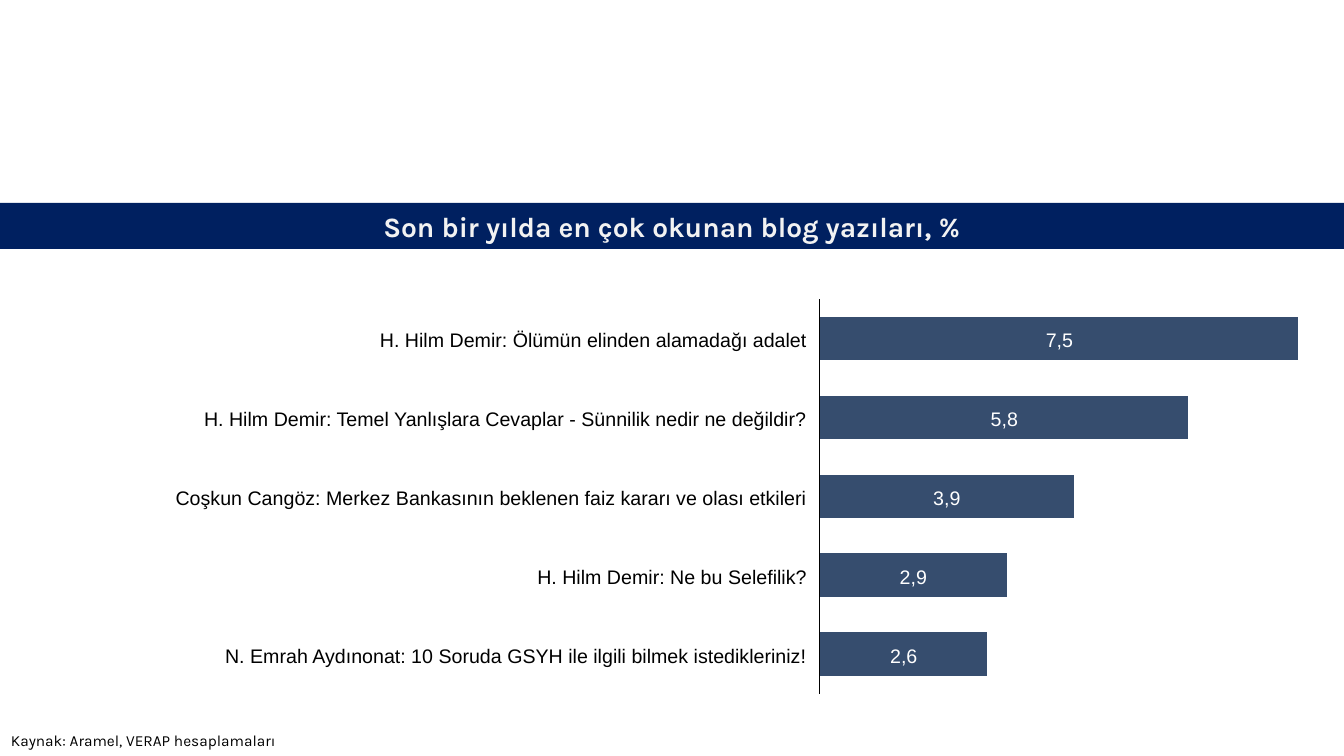
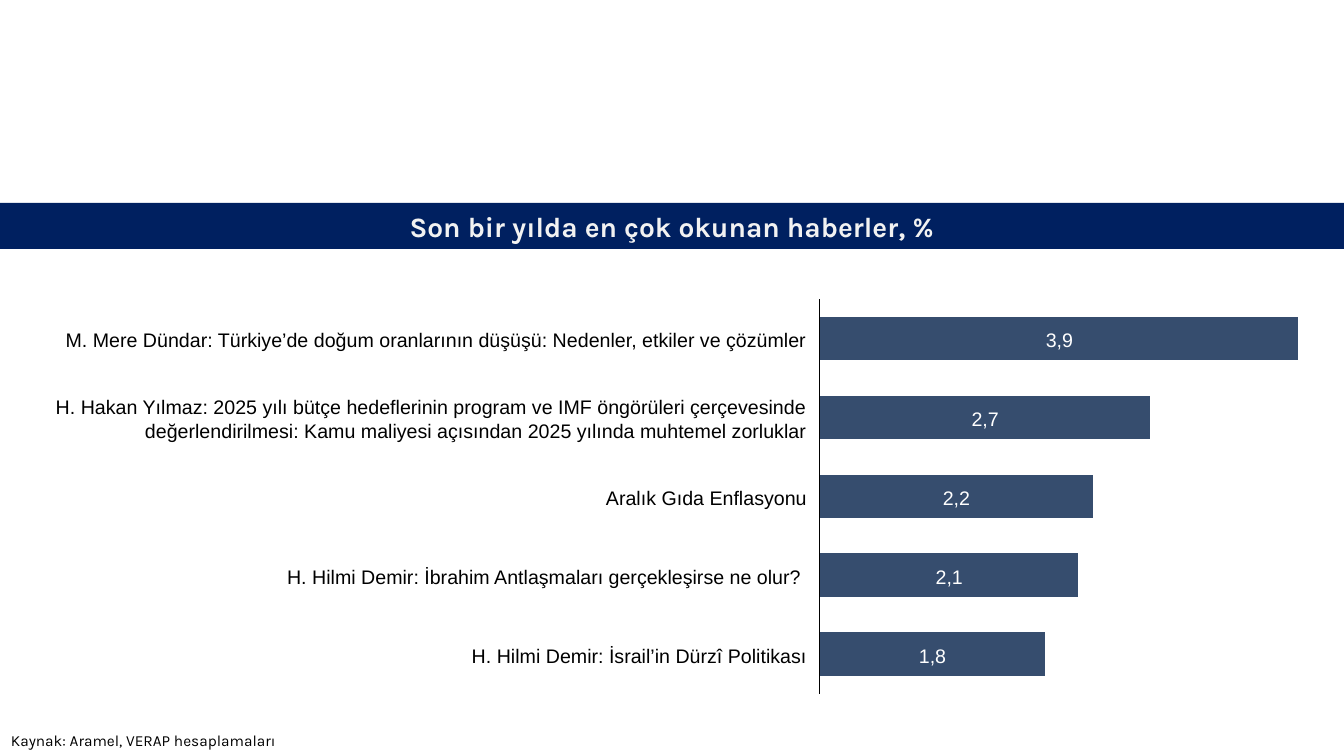
from dataclasses import dataclass

from pptx import Presentation
from pptx.chart.chart import Chart
from pptx.chart.data import CategoryChartData
from pptx.dml.color import RGBColor
from pptx.enum.chart import XL_CHART_TYPE, XL_TICK_LABEL_POSITION, XL_TICK_MARK
from pptx.enum.text import MSO_ANCHOR, MSO_AUTO_SIZE, PP_ALIGN
from pptx.oxml import parse_xml
from pptx.oxml.ns import nsdecls
from pptx.slide import Slide
from pptx.text.text import Font
from pptx.util import Emu, Pt

NAVY, SLATE = "002060", "364D6E"
BLACK, WHITE, PALE = "000000", "FFFFFF", "F2F2F2"
HEADING_FONT, LABEL_FONT = "Karla", "Arial"

SLIDE_W, SLIDE_H = 1344, 756
BAND_TOP, BAND_H = 203, 46
CHART_BOX = (811, 290, 497, 413)
PLOT_LEFT, PLOT_TOP, PLOT_W = 820, 300, 479
ROW_PITCH = 79
LABEL_LEFT, LABEL_RIGHT = 7, 807
VALUE_W = 60
LINE_H = 24
SOURCE = "Kaynak: Aramel, VERAP hesaplamaları"


@dataclass(frozen=True)
class Post:
    label: str
    share: str
    bar: int  # length relative to the most read post, which is 100


@dataclass(frozen=True)
class Ranking:
    title: str
    posts: tuple[Post, ...]


RANKINGS = (
    Ranking("Son bir yılda en çok okunan blog yazıları, %", (
        Post("H. Hilm Demir: Ölümün elinden alamadağı adalet", "7,5", 100),
        Post("H. Hilm Demir: Temel Yanlışlara Cevaplar - Sünnilik nedir ne değildir?", "5,8", 77),
        Post("Coşkun Cangöz: Merkez Bankasının beklenen faiz kararı ve olası etkileri", "3,9", 53),
        Post("H. Hilm Demir: Ne bu Selefilik?", "2,9", 39),
        Post("N. Emrah Aydınonat: 10 Soruda GSYH ile ilgili bilmek istedikleriniz!", "2,6", 35),
    )),
    Ranking("Son bir yılda en çok okunan haberler, %", (
        Post("M. Mere Dündar: Türkiye’de doğum oranlarının düşüşü: Nedenler, etkiler ve çözümler",
             "3,9", 100),
        Post("H. Hakan Yılmaz: 2025 yılı bütçe hedeflerinin program ve IMF öngörüleri çerçevesinde\n"
             "değerlendirilmesi: Kamu maliyesi açısından 2025 yılında muhtemel zorluklar",
             "2,7", 69),
        Post("Aralık Gıda Enflasyonu", "2,2", 57),
        Post("H. Hilmi Demir: İbrahim Antlaşmaları gerçekleşirse ne olur? ", "2,1", 54),
        Post("H. Hilmi Demir: İsrail’in Dürzî Politikası", "1,8", 47),
    )),
)


def px(length: float) -> Emu:
    return Emu(round(length * 914400 / 100.8))


def rgb(value: str) -> RGBColor:
    return RGBColor.from_string(value)


def style_font(font: Font, name: str, size: int, color: str, bold: bool = False) -> None:
    font.name, font.size, font.bold = name, Pt(size), bold
    font.color.rgb = rgb(color)


def add_title_band(slide: Slide, text: str) -> None:
    band = slide.shapes.title
    band.left, band.top, band.width, band.height = map(px, (0, BAND_TOP, SLIDE_W, BAND_H))
    band.fill.solid()
    band.fill.fore_color.rgb = rgb(NAVY)
    frame = band.text_frame
    frame.auto_size = MSO_AUTO_SIZE.NONE
    frame.vertical_anchor = MSO_ANCHOR.MIDDLE
    heading = frame.paragraphs[0]
    heading.text = text
    heading.alignment = PP_ALIGN.CENTER
    style_font(heading.font, HEADING_FONT, 20, PALE, bold=True)


def add_row_text(slide: Slide, text: str, left: float, middle: float, width: float,
                 align: PP_ALIGN, color: str) -> None:
    """Write text without insets, centred vertically on a bar."""
    height = LINE_H * (text.count("\n") + 1)
    box = slide.shapes.add_textbox(px(left), px(middle - height / 2), px(width), px(height))
    frame = box.text_frame
    frame.word_wrap = True
    frame.vertical_anchor = MSO_ANCHOR.MIDDLE
    frame.margin_left = frame.margin_right = frame.margin_top = frame.margin_bottom = 0
    paragraph = frame.paragraphs[0]
    paragraph.text = text
    paragraph.alignment = align
    style_font(paragraph.font, LABEL_FONT, 14, color)


def set_plot_layout(chart: Chart, x: float, y: float, w: float, h: float) -> None:
    """Fix the inner plot area as fractions of the chart."""
    plot_area = chart.plots[0]._element.getparent()
    for layout in plot_area.xpath("c:layout"):
        plot_area.remove(layout)
    plot_area.insert(0, parse_xml(
        f'<c:layout {nsdecls("c")}><c:manualLayout><c:layoutTarget val="inner"/>'
        '<c:xMode val="edge"/><c:yMode val="edge"/>'
        f'<c:x val="{x}"/><c:y val="{y}"/><c:w val="{w}"/><c:h val="{h}"/>'
        "</c:manualLayout></c:layout>"))


def add_bars(slide: Slide, posts: tuple[Post, ...]) -> None:
    bars = CategoryChartData()
    bars.categories = [str(rank) for rank in range(1, len(posts) + 1)]
    bars.add_series("Series 1", [post.bar for post in posts])
    chart = slide.shapes.add_chart(XL_CHART_TYPE.BAR_STACKED, *map(px, CHART_BOX), bars).chart
    chart.has_title = chart.has_legend = False
    style_font(chart.font, HEADING_FONT, 10, BLACK)
    set_plot_layout(chart, 0.018, 0.022, 0.963, 0.956)

    ranks = chart.category_axis
    ranks.reverse_order = True
    ranks.tick_label_position = XL_TICK_LABEL_POSITION.NONE
    ranks.major_tick_mark = ranks.minor_tick_mark = XL_TICK_MARK.NONE
    ranks.has_major_gridlines = False
    ranks.format.line.width = Pt(0.75)
    ranks.format.line.color.rgb = rgb(BLACK)

    shares = chart.value_axis
    shares.minimum_scale, shares.maximum_scale = 0, 100
    shares.has_major_gridlines = False
    shares.visible = False

    plot = chart.plots[0]
    plot.gap_width, plot.overlap = 80, 100
    plot.vary_by_categories = False
    fill = plot.series[0].format.fill
    fill.solid()
    fill.fore_color.rgb = rgb(SLATE)


def add_source(slide: Slide) -> None:
    frame = slide.shapes.add_textbox(px(1), px(726), px(SLIDE_W - 1), px(29)).text_frame
    frame.word_wrap = True
    source = frame.paragraphs[0]
    source.text = SOURCE
    style_font(source.font, HEADING_FONT, 11, BLACK)


def add_ranking(slide: Slide, ranking: Ranking) -> None:
    add_title_band(slide, ranking.title)
    add_bars(slide, ranking.posts)
    for row, post in enumerate(ranking.posts):
        middle = PLOT_TOP + ROW_PITCH * (row + 0.5)
        bar_center = PLOT_LEFT + PLOT_W * post.bar / 200
        add_row_text(slide, post.label, LABEL_LEFT, middle, LABEL_RIGHT - LABEL_LEFT,
                     PP_ALIGN.RIGHT, BLACK)
        add_row_text(slide, post.share, bar_center - VALUE_W / 2, middle, VALUE_W,
                     PP_ALIGN.CENTER, WHITE)
    add_source(slide)


def main() -> None:
    deck = Presentation()
    deck.slide_width, deck.slide_height = px(SLIDE_W), px(SLIDE_H)
    title_only = deck.slide_layouts[5]
    for ranking in RANKINGS:
        add_ranking(deck.slides.add_slide(title_only), ranking)
    deck.save("out.pptx")


if __name__ == "__main__":
    main()
